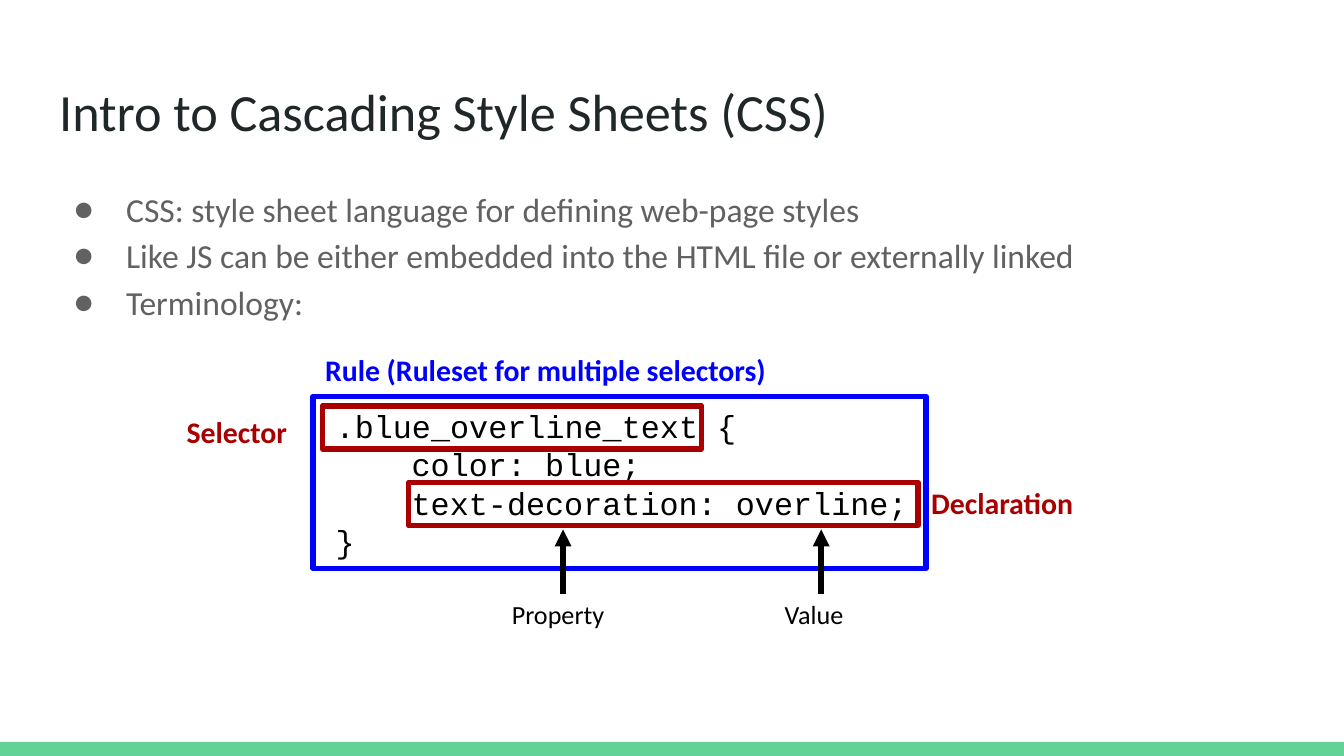
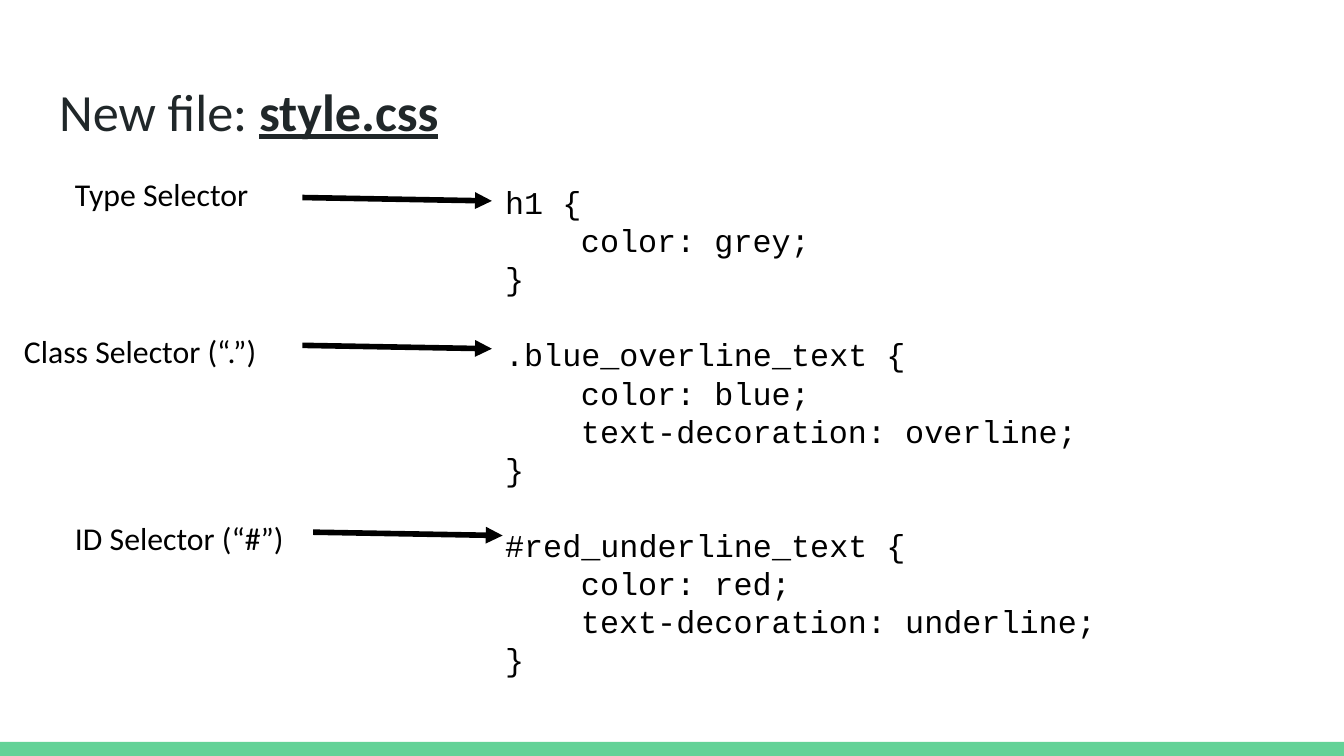
from dataclasses import dataclass

from lxml import etree
from pptx import Presentation
from pptx import util as u
from pptx.dml.color import RGBColor
from pptx.enum import shapes, text
from pptx.oxml.ns import qn

PX = u.Inches(1) // 200
WIDTH, HEIGHT = 2000, 1125
TITLE_ONLY = 5


@dataclass(frozen=True)
class Theme:
    sans: str = "Calibri"
    mono: str = "Courier New"
    title_color: str = "202729"
    body_color: str = "616161"
    ink: str = "000000"
    red: str = "A80000"
    blue: str = "0000FF"
    band: str = "63D297"
    title_size: int = 28
    body_size: int = 18
    code_size: int = 17
    term_size: int = 16
    note_size: int = 14
    line_width: int = 3
    inset: int = 20
    bullet_spacing: float = 1.15
    bullet_margin: int = 100
    bullet_hang: int = 78
    code_indent: int = 113
    rule_gap: float = 20.5


def set_all(target, values):
    for name, value in values.items():
        setattr(target, name, value)


def add_xml(parent, tag, **attributes):
    return etree.SubElement(parent, qn(tag), attributes)


class Deck:
    """Holds the theme, the presentation and the slide being filled."""

    def __init__(self, theme):
        self.theme = theme
        self.presentation = Presentation()
        set_all(self.presentation, {"slide_width": WIDTH * PX, "slide_height": HEIGHT * PX})
        self.slide = None

    def add_slide(self, *title_runs):
        """Start a slide; each title run is a (words, format) pair."""
        theme = self.theme
        layout = self.presentation.slide_layouts[TITLE_ONLY]
        self.slide = self.presentation.slides.add_slide(layout)
        self.add_box(0, 1104, WIDTH, 21, fill=theme.band)
        title = self.slide.shapes.title
        set_all(title, {"left": 68 * PX, "top": 98 * PX, "width": 1864 * PX, "height": 126 * PX})
        self.format_frame(title.text_frame)
        paragraph = title.text_frame.paragraphs[0]
        paragraph.alignment = text.PP_ALIGN.LEFT
        for words, extra in title_runs:
            self.add_run(paragraph, words, theme.title_size, theme.title_color, **extra)

    def format_frame(self, frame):
        margins = ("margin_left", "margin_top", "margin_right", "margin_bottom")
        set_all(frame, dict.fromkeys(margins, self.theme.inset * PX))
        set_all(frame, {
            "word_wrap": True,
            "auto_size": text.MSO_AUTO_SIZE.NONE,
            "vertical_anchor": text.MSO_ANCHOR.TOP,
        })

    def add_run(self, paragraph, words, size, color, **extra):
        run = paragraph.add_run()
        run.text = words
        set_all(run.font, {"name": self.theme.sans, "size": u.Pt(size), **extra})
        run.font.color.rgb = RGBColor.from_string(color)

    def add_paragraphs(self, left, top, width, height, count):
        shape = self.slide.shapes.add_textbox(left * PX, top * PX, width * PX, height * PX)
        frame = shape.text_frame
        self.format_frame(frame)
        for _ in range(count - 1):
            frame.add_paragraph()
        return frame.paragraphs

    def add_label(self, words, left, top, width, height, size, color=None, **extra):
        paragraph, = self.add_paragraphs(left, top, width, height, 1)
        self.add_run(paragraph, words, size, color or self.theme.ink, **extra)

    def add_bullets(self, lines, left, top, width, height):
        theme = self.theme
        paragraphs = self.add_paragraphs(left, top, width, height, len(lines))
        for paragraph, line in zip(paragraphs, lines):
            self.add_run(paragraph, line, theme.body_size, theme.body_color)
            paragraph.line_spacing = theme.bullet_spacing
            properties = paragraph._p.get_or_add_pPr()
            properties.set("marL", str(theme.bullet_margin * PX))
            properties.set("indent", str(-theme.bullet_hang * PX))
            add_xml(add_xml(properties, "a:buClr"), "a:srgbClr", val=theme.body_color)
            add_xml(properties, "a:buFont", typeface=theme.sans)
            add_xml(properties, "a:buChar", char="●")

    def add_code(self, rules, left, top, width, height):
        """Write (selector, declarations) rules, declarations indented."""
        theme = self.theme
        lines = []
        for number, (selector, declarations) in enumerate(rules):
            lines.append((selector + " {", 0, theme.rule_gap if number else 0))
            lines += [(declaration, theme.code_indent, 0) for declaration in declarations]
            lines.append(("}", 0, 0))
        paragraphs = self.add_paragraphs(left, top, width, height, len(lines))
        for paragraph, (line, indent, gap) in zip(paragraphs, lines):
            self.add_run(paragraph, line, theme.code_size, theme.ink, name=theme.mono)
            if gap:
                paragraph.space_before = u.Pt(gap)
            if indent:
                paragraph._p.get_or_add_pPr().set("marL", str(indent * PX))

    def add_box(self, left, top, width, height, fill=None, line=None):
        shape = self.slide.shapes.add_shape(
            shapes.MSO_SHAPE.RECTANGLE, left * PX, top * PX, width * PX, height * PX)
        shape.shadow.inherit = False
        for part, color in ((shape.fill, fill), (shape.line.fill, line)):
            if color:
                part.solid()
                part.fore_color.rgb = RGBColor.from_string(color)
            else:
                part.background()
        if line:
            shape.line.width = u.Pt(self.theme.line_width)

    def add_arrow(self, start, end):
        connector = self.slide.shapes.add_connector(
            shapes.MSO_CONNECTOR.STRAIGHT, *(length * PX for length in (*start, *end)))
        connector.line.width = u.Pt(self.theme.line_width)
        connector.line.color.rgb = RGBColor.from_string(self.theme.ink)
        add_xml(connector.line._get_or_add_ln(), "a:tailEnd", type="triangle")
        add_xml(connector._element.spPr, "a:effectLst")


BLUE_RULE = (".blue_overline_text", ["color: blue;", "text-decoration: overline;"])


def build_terminology(deck):
    theme = deck.theme
    deck.add_slide(("Intro to Cascading Style Sheets (CSS)", {}))
    deck.add_bullets([
        "CSS: style sheet language for defining web-page styles",
        "Like JS can be either embedded into the HTML file or externally linked",
        "Terminology:",
    ], 68, 252, 1864, 748)
    deck.add_code([BLUE_RULE], 480, 586, 948, 332)
    for words, color, label, box in (
        ("Declaration", theme.red, (1366, 702, 372, 80), (608, 718, 758, 64)),
        ("Selector", theme.red, (258, 596, 222, 80), (480, 604, 564, 64)),
        ("Rule (Ruleset for multiple selectors)", theme.blue,
         (464, 504, 902, 80), (466, 590, 912, 256)),
    ):
        deck.add_box(*box, line=color)
        deck.add_label(words, *label, theme.term_size, color, bold=True)
    for words, left, width, arrow_x in (("Property", 742, 194, 838), ("Value", 1148, 144, 1222)):
        deck.add_arrow((arrow_x, 884), (arrow_x, 788))
        deck.add_label(words, left, 870, width, 80, theme.note_size)


def build_selectors(deck):
    deck.add_slide(("New file: ", {}), ("style.css", {"bold": True, "underline": True}))
    deck.add_code([
        ("h1", ["color: grey;"]),
        BLUE_RULE,
        ("#red_underline_text", ["color: red;", "text-decoration: underline;"]),
    ], 732, 252, 1200, 748)
    for words, left, top, width, arrow_x, arrow_y in (
        ("Type Selector", 92, 240, 354, 450, 294),
        ("Class Selector (“.”)", 16, 474, 428, 450, 514),
        ("ID Selector (“#”)", 92, 752, 374, 466, 792),
    ):
        deck.add_arrow((arrow_x, arrow_y), (arrow_x + 282, arrow_y + 5))
        deck.add_label(words, left, top, width, 84, deck.theme.code_size)


def main():
    deck = Deck(Theme())
    build_terminology(deck)
    build_selectors(deck)
    deck.presentation.save("out.pptx")


if __name__ == "__main__":
    main()
